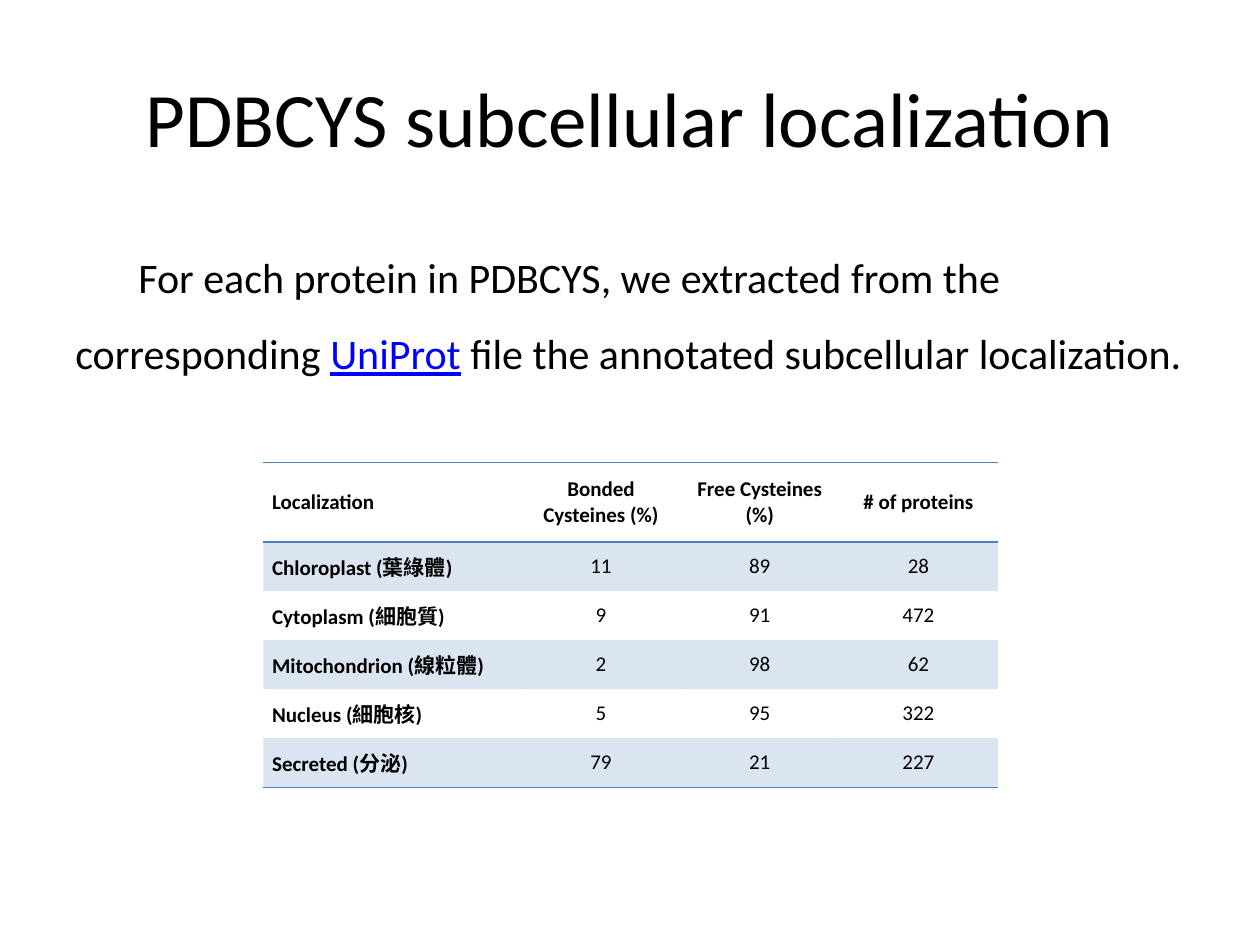
from dataclasses import dataclass

from lxml import etree
from pptx import Presentation
from pptx.dml.color import RGBColor
from pptx.enum.text import MSO_ANCHOR, PP_ALIGN
from pptx.oxml.ns import qn
from pptx.util import Inches, Pt

LEFT, CENTER = PP_ALIGN.LEFT, PP_ALIGN.CENTER
TOP, MIDDLE = MSO_ANCHOR.TOP, MSO_ANCHOR.MIDDLE
BLANK = 6
PLAIN_STYLE = "{2D5ABB26-0587-4C30-8999-92F81FD0307C}"

HEADERS = ["Localization", "Bonded Cysteines (%)", "Free Cysteines (%)", "# of proteins"]
LOCALIZATIONS = [
    ("Chloroplast (葉綠體)", 11, 89, 28),
    ("Cytoplasm (細胞質)", 9, 91, 472),
    ("Mitochondrion (線粒體)", 2, 98, 62),
    ("Nucleus (細胞核)", 5, 95, 322),
    ("Secreted (分泌)", 79, 21, 227),
]


@dataclass(frozen=True)
class Theme:
    """Colours and type sizes of the slide."""
    font: str = "Calibri"
    text: str = "000000"
    link: str = "0000FF"
    accent: str = "4F81BD"
    band_alpha: int = 20
    title: int = 44
    body: int = 24
    cell: int = 12


def add_run(p, text, *, font, size, color, bold=False, underline=False):
    """Append a formatted run to a paragraph."""
    r = p.add_run()
    r.text = text
    r.font.name = font
    r.font.size = Pt(size)
    r.font.bold = bold
    r.font.underline = underline
    r.font.color.rgb = RGBColor.from_string(color)


def add_border(cell, side, color, width=1):
    """Draw a solid line on one side of a table cell."""
    ln = etree.SubElement(cell._tc.get_or_add_tcPr(), qn(f"a:ln{side}"), w=str(Pt(width)))
    fill = etree.SubElement(ln, qn("a:solidFill"))
    etree.SubElement(fill, qn("a:srgbClr"), val=color)


class SlideBuilder:
    """Holds the theme and the current slide."""

    def __init__(self, s, theme):
        """Keep the slide and its theme."""
        self.s = s
        self.theme = theme

    def text(self, x, y, w, h, runs, size, align=LEFT, anchor=TOP, indent=0, spacing=1.0):
        """Add a text box with one paragraph of (text, format) runs."""
        box = self.s.shapes.add_textbox(Inches(x), Inches(y), Inches(w), Inches(h))
        tf = box.text_frame
        tf.word_wrap = True
        tf.vertical_anchor = anchor
        p = tf.paragraphs[0]
        p.alignment = align
        p.line_spacing = spacing
        if indent:
            p._p.get_or_add_pPr().set("indent", str(Inches(indent)))
        for text, style in runs:
            add_run(p, text, **{"font": self.theme.font, "size": size,
                                "color": self.theme.text, **style})

    def cell(self, cell, text, align, bold, banded, sides):
        """Fill in one table cell with its text, borders and band."""
        theme = self.theme
        cell.margin_left = cell.margin_right = Inches(0.07)
        cell.margin_top = cell.margin_bottom = 0
        cell.vertical_anchor = MIDDLE
        p = cell.text_frame.paragraphs[0]
        p.alignment = align
        add_run(p, text, font=theme.font, size=theme.cell, color=theme.text, bold=bold)
        for side in sides:
            add_border(cell, side, theme.accent)
        if not banded:
            cell.fill.background()
            return
        cell.fill.solid()
        cell.fill.fore_color.rgb = RGBColor.from_string(theme.accent)
        color = cell._tc.tcPr.find(qn("a:solidFill")).find(qn("a:srgbClr"))
        etree.SubElement(color, qn("a:alpha"), val=str(theme.band_alpha * 1000))

    def table(self, x, y, widths, heights, rows):
        """Add a ruled table with a header row and alternating bands."""
        frame = self.s.shapes.add_table(len(rows), len(widths), Inches(x), Inches(y),
                                        Inches(sum(widths)), Inches(sum(heights)))
        table = frame.table
        table.horz_banding = False
        table._tbl.tblPr.find(qn("a:tableStyleId")).text = PLAIN_STYLE
        for column, width in zip(table.columns, widths):
            column.width = Inches(width)
        borders = {0: "TB", len(rows) - 1: "B"}
        for i, values in enumerate(rows):
            table.rows[i].height = Inches(heights[i])
            for j, value in enumerate(values):
                self.cell(table.cell(i, j), str(value), align=CENTER if j else LEFT,
                          bold=i == 0 or j == 0, banded=i % 2 == 1,
                          sides=borders.get(i, ""))


def main():
    """Build and save the slide."""
    prs = Presentation()
    prs.slide_width, prs.slide_height = Inches(10), Inches(7.5)
    theme = Theme()
    slide = SlideBuilder(prs.slides.add_slide(prs.slide_layouts[BLANK]), theme)

    slide.text(0.5, 0.3, 9, 1.25, [("PDBCYS subcellular localization", {})],
               theme.title, align=CENTER, anchor=MIDDLE)
    slide.text(0.5, 1.75, 9, 4.95, [
        ("For each protein in PDBCYS, we extracted from the corresponding ", {}),
        ("UniProt", {"color": theme.link, "underline": True}),
        (" file the annotated subcellular localization.", {}),
    ], theme.body, indent=0.5, spacing=1.5)
    slide.table(2.09, 3.67, [2.05] + [1.26] * 3, [0.63] + [0.39] * len(LOCALIZATIONS),
                [HEADERS, *LOCALIZATIONS])
    prs.save("out.pptx")


if __name__ == "__main__":
    main()
